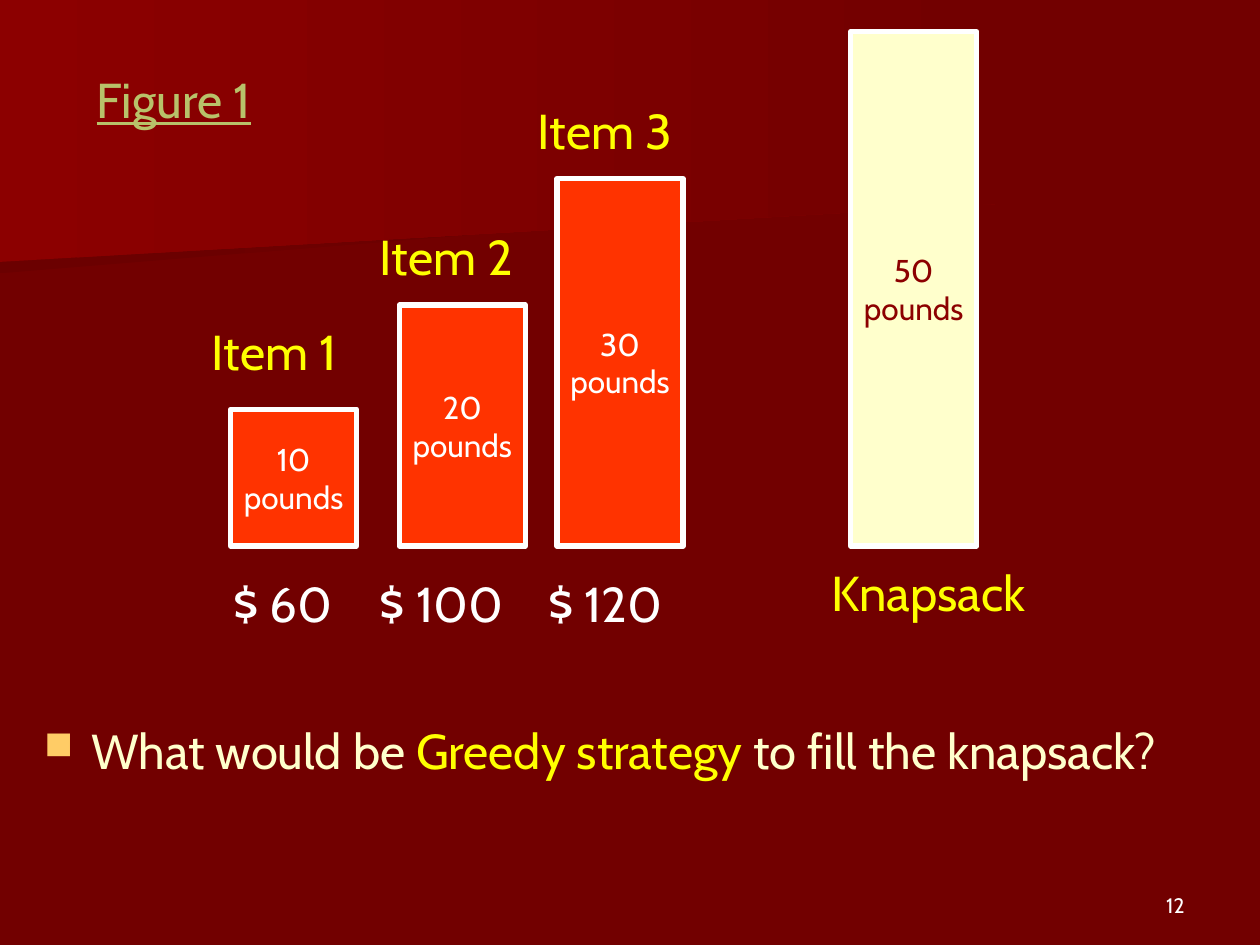
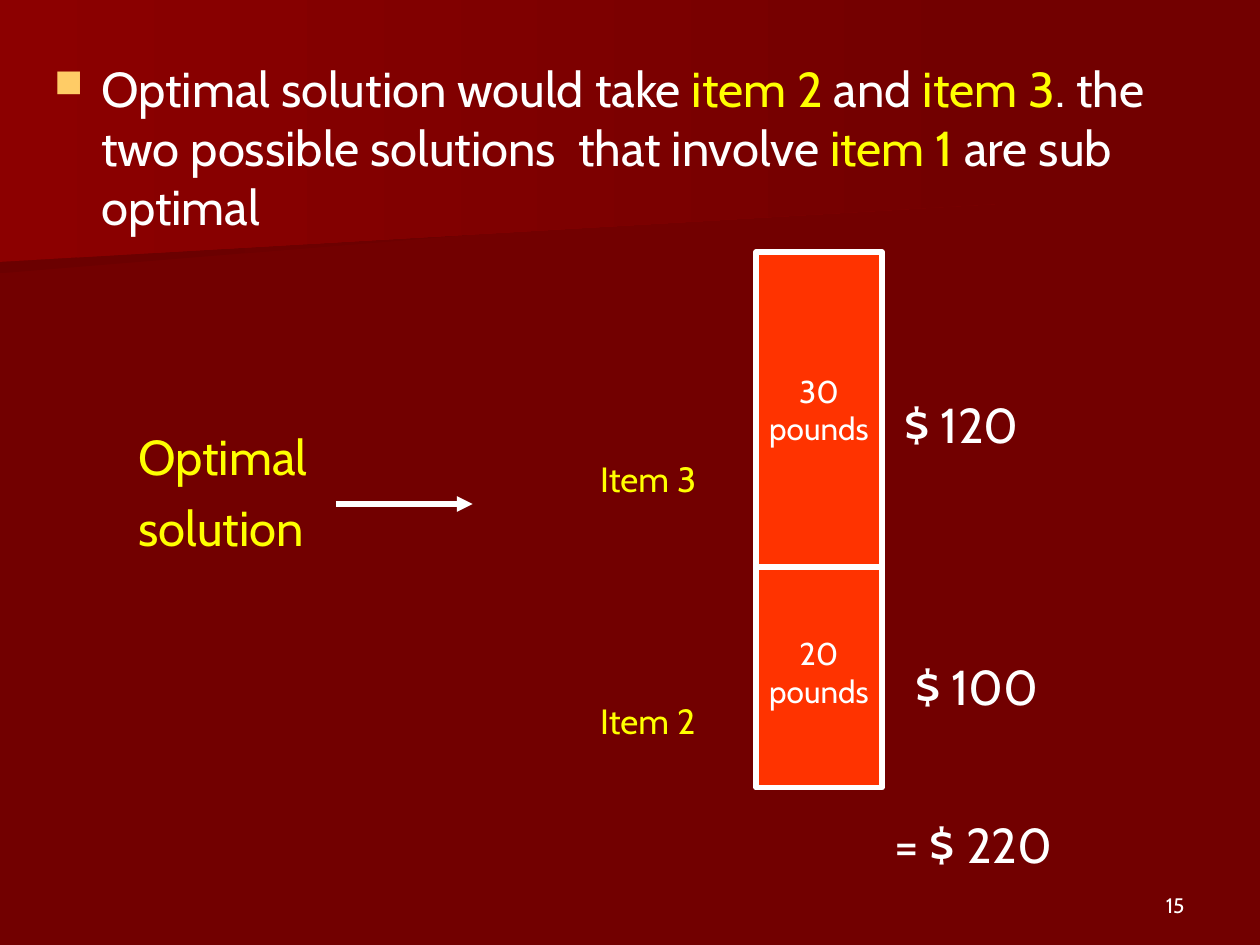
from lxml.etree import SubElement
from pptx import Presentation
from pptx.dml.color import RGBColor
from pptx.enum.shapes import MSO_CONNECTOR as Connector, MSO_SHAPE as Shape
from pptx.enum.text import MSO_ANCHOR as Anchor, PP_ALIGN as Align
from pptx.oxml.ns import qn
from pptx.util import Cm, Pt

DARK_RED = RGBColor(0x72, 0x00, 0x00)
SHADE_RED = RGBColor(0x6B, 0x00, 0x00)
BAND_RED = RGBColor(0x8C, 0x00, 0x00)
ORANGE_RED = RGBColor(0xFF, 0x33, 0x00)
CREAM = RGBColor(0xFF, 0xFF, 0xCC)
YELLOW = RGBColor(0xFF, 0xFF, 0x00)
WHITE = RGBColor(0xFF, 0xFF, 0xFF)
OLIVE = RGBColor(0xB8, 0xC2, 0x6A)
FONT = "Cabin"
BAR_WIDTH = 2.54
LABEL_HEIGHT = 1.48
BANDS = [
    (SHADE_RED, [(19.76, 3.89), (0, 5.51), (0, 2.57), (19.79, 2.57), (19.76, 3.25)]),
    (BAND_RED, [(20.12, 4.11), (0, 5.28), (0, 0), (20.12, 0)]),
]


def add_text(page, left, top, width, height, lines, size=28, before=7,
             align=Align.LEFT, anchor=Anchor.TOP, bullet=False, underline=False):
    box = page.shapes.add_textbox(Cm(left), Cm(top), Cm(width), Cm(height))
    frame = box.text_frame
    frame.word_wrap = True
    frame.vertical_anchor = anchor
    for index, spans in enumerate(lines):
        para = frame.add_paragraph() if index else frame.paragraphs[0]
        para.alignment = align
        para.space_before = Pt(before)
        for words, color in spans:
            span = para.add_run()
            span.text = words
            span.font.name = FONT
            span.font.size = Pt(size)
            span.font.color.rgb = color
            if underline:
                span.font.underline = True
        if bullet:
            props = para._p.get_or_add_pPr()
            props.set("marL", str(Cm(0.95)))
            props.set("indent", str(Cm(-0.95)))
            bullet_color = SubElement(props, qn("a:buClr"))
            SubElement(bullet_color, qn("a:srgbClr"), val="FFCC66")
            SubElement(props, qn("a:buSzPct"), val="80000")
            SubElement(props, qn("a:buChar"), char="■")


def add_bar(page, left, top, height, pounds, fill=ORANGE_RED, ink=WHITE):
    bar = page.shapes.add_shape(Shape.RECTANGLE, Cm(left), Cm(top), Cm(BAR_WIDTH), Cm(height))
    bar.shadow.inherit = False
    bar.fill.solid()
    bar.fill.fore_color.rgb = fill
    bar.line.color.rgb = WHITE
    bar.line.width = Pt(3)
    frame = bar.text_frame
    frame.word_wrap = False
    frame.vertical_anchor = Anchor.MIDDLE
    for index, words in enumerate((pounds, "pounds")):
        para = frame.add_paragraph() if index else frame.paragraphs[0]
        para.alignment = Align.CENTER
        span = para.add_run()
        span.text = words
        span.font.name = FONT
        span.font.size = Pt(18)
        span.font.color.rgb = ink


deck = Presentation()
deck.slide_width, deck.slide_height = Cm(25.4), Cm(19.05)
pages = []
for number in ("12", "15"):
    page = deck.slides.add_slide(deck.slide_layouts[6])
    page.background.fill.solid()
    page.background.fill.fore_color.rgb = DARK_RED
    for color, corners in BANDS:
        points = [(Cm(x), Cm(y)) for x, y in corners]
        outline = page.shapes.build_freeform(*points[0])
        outline.add_line_segments(points[1:], close=True)
        band = outline.convert_to_shape()
        band.shadow.inherit = False
        band.line.fill.background()
        band.fill.gradient()
        band.fill.gradient_angle = 0
        for stop, position, shade in zip(band.fill.gradient_stops, (0, 1), (color, DARK_RED)):
            stop.position = position
            stop.color.rgb = shade
    add_text(page, 18.2, 17.35, 5.93, 1.27, [[(number, WHITE)]], size=12, before=0,
             align=Align.RIGHT, anchor=Anchor.BOTTOM)
    pages.append(page)
figure_page, solution_page = pages

add_text(figure_page, 1.7, 1.27, 4.65, LABEL_HEIGHT, [[("Figure 1", OLIVE)]], underline=True)
add_text(figure_page, 0.64, 14.4, 24.13, 3.81,
         [[("What would be ", CREAM), ("Greedy strategy", YELLOW),
           (" to fill the knapsack?", CREAM)]], bullet=True)

base = 11.01
items = [
    ("Item 1", "10", "$ 60", 4.65, 8.25, 4.02, 6.35, 4.45),
    ("Item 2", "20", "$ 100", 8.05, 6.15, 7.41, 4.45, 7.41),
    ("Item 3", "30", "$ 120", 11.23, 3.6, 10.59, 1.9, 10.8),
]
for name, pounds, price, bar_left, bar_top, name_left, name_top, price_left in items:
    add_bar(figure_page, bar_left, bar_top, base - bar_top, pounds)
    add_text(figure_page, name_left, name_top, 3.6, LABEL_HEIGHT, [[(name, YELLOW)]])
    add_text(figure_page, price_left, 11.43, 3.2, LABEL_HEIGHT, [[(price, WHITE)]])
add_bar(figure_page, 17.15, 0.64, base - 0.64, "50", CREAM, BAND_RED)
add_text(figure_page, 16.51, 11.22, 4.65, LABEL_HEIGHT, [[("Knapsack", YELLOW)]])

add_text(solution_page, 0.84, 1.06, 23.7, 4.23,
         [[("Optimal solution would take ", WHITE), ("item 2", YELLOW), (" and ", WHITE),
           ("item 3", YELLOW), (". the two possible solutions  that involve ", WHITE),
           ("item 1", YELLOW), (" are sub optimal", WHITE)]], bullet=True)

chosen = [
    ("Item 2", "20", "$ 100", 11.22, 4.66, 13.97, 18.2, 13.12),
    ("Item 3", "30", "$ 120", 5.08, 6.35, 9.1, 17.99, 7.83),
]
for name, pounds, price, bar_top, bar_height, name_top, price_left, price_top in chosen:
    add_bar(solution_page, 15.24, bar_top, bar_height, pounds)
    add_text(solution_page, 11.85, name_top, 3.18, LABEL_HEIGHT, [[(name, YELLOW)]],
             size=20, before=5)
    add_text(solution_page, price_left, price_top, 3.38, LABEL_HEIGHT, [[(price, WHITE)]])
add_text(solution_page, 17.78, 16.3, 4.45, LABEL_HEIGHT, [[("= $ 220", WHITE)]])
add_text(solution_page, 2.54, 8.47, 4.02, 2.75, [[("Optimal", YELLOW)], [("solution", YELLOW)]])

arrow = solution_page.shapes.add_connector(Connector.STRAIGHT, Cm(6.77), Cm(10.16),
                                           Cm(9.53), Cm(10.16))
arrow.line.color.rgb = WHITE
arrow.line.width = Pt(3)
SubElement(arrow.line._get_or_add_ln(), qn("a:tailEnd"), type="triangle")
SubElement(arrow._element.spPr, qn("a:effectLst"))

deck.save("out.pptx")
